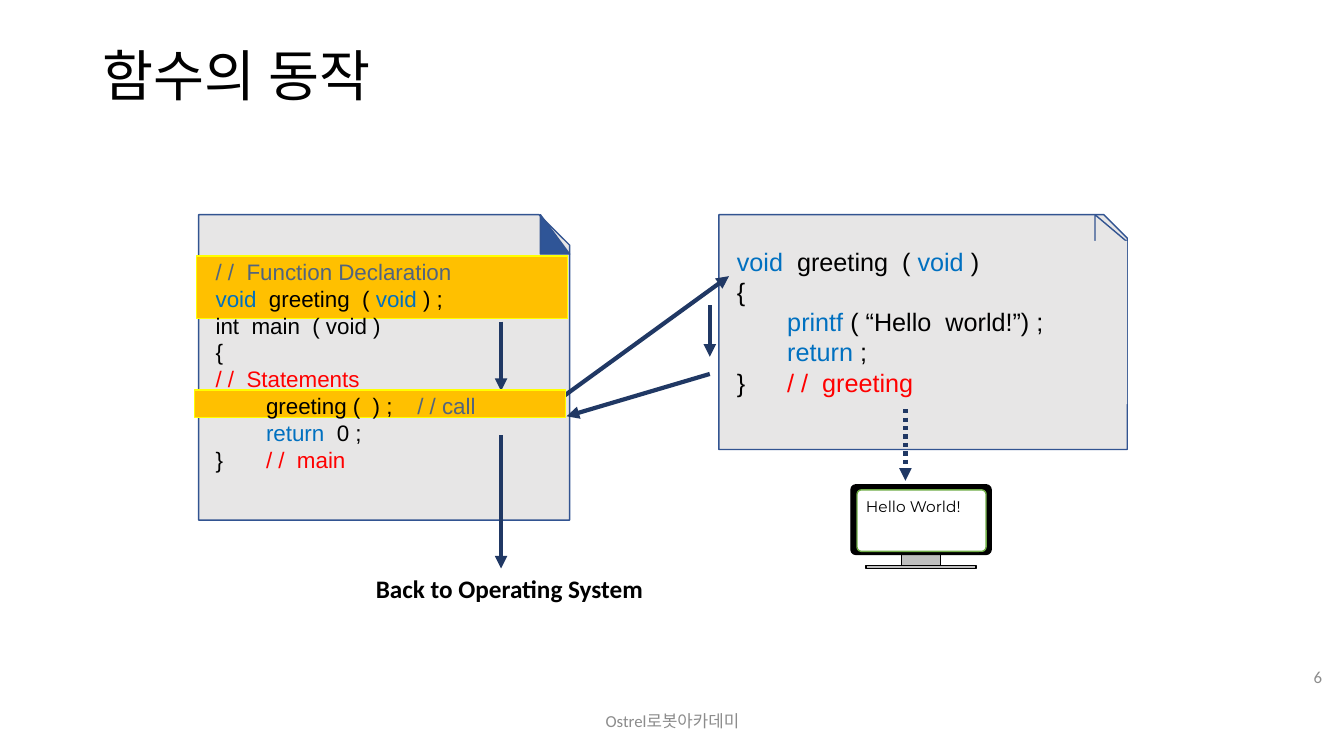
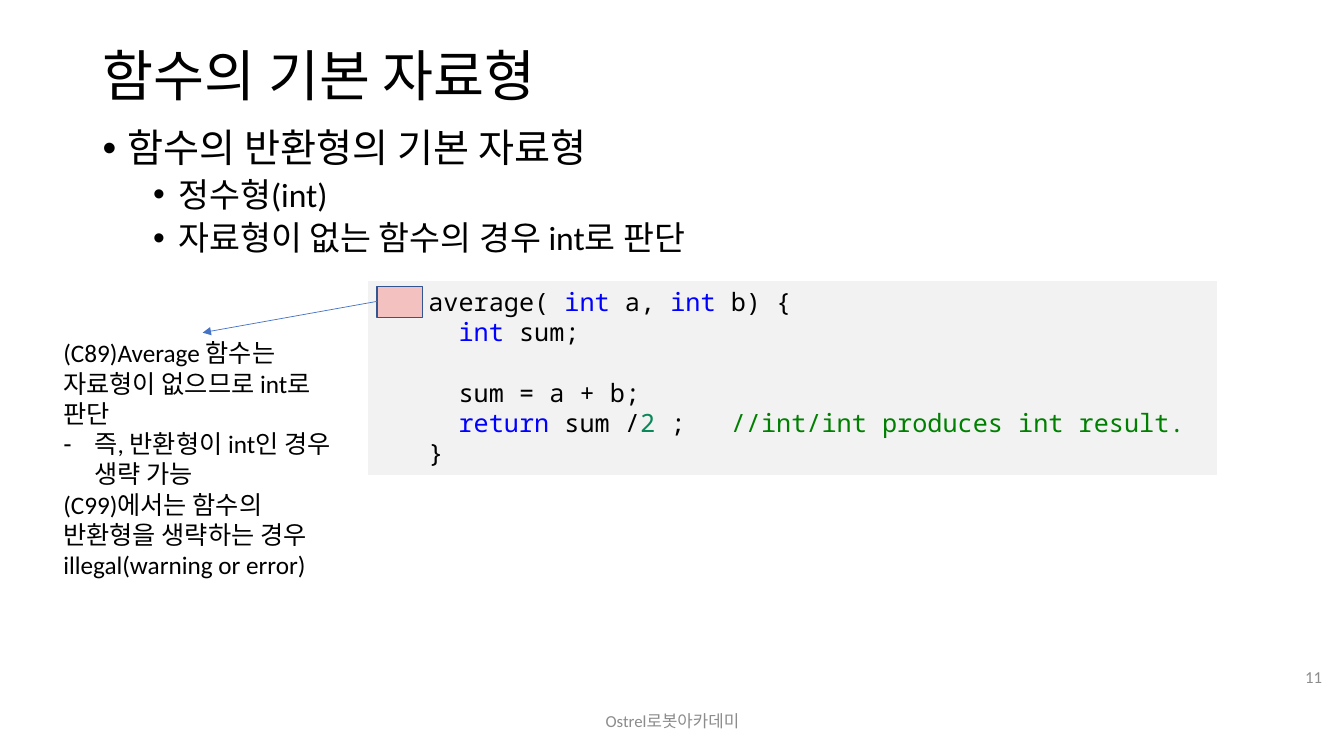
import pptx
import pptx.util
import pptx.dml.color
import pptx.enum.dml
import pptx.enum.shapes
import pptx.enum.text
import pptx.oxml.ns
import lxml.etree

Inches = pptx.util.Inches
Pt = pptx.util.Pt
RGB = pptx.dml.color.RGBColor.from_string
SHAPE = pptx.enum.shapes.MSO_SHAPE
ALIGN = pptx.enum.text.PP_ALIGN
MIDDLE = pptx.enum.text.MSO_ANCHOR.MIDDLE
DOTS = pptx.enum.dml.MSO_LINE.ROUND_DOT
qn = pptx.oxml.ns.qn

COLORS = {
    "black": "000000", "white": "FFFFFF", "footer": "8C8C8C",
    "card": "E7E6E6", "outline": "325491", "fold": "2F5597", "arrow": "203864",
    "highlight": "FFC000", "glow": "FFFF00", "stand": "BFBFBF", "screen": "70AD47",
    "word": "0070C0", "note": "51647E", "red": "FF0000",
    "code": "F2F2F2", "keyword": "0000FF", "number": "09885A", "comment": "008000",
    "callout": "4472C4",
}


def box(s, kind, at, fill=None, line=None, adj=None):
    if kind is None:
        return s.shapes.add_textbox(*map(Inches, at))
    sp = s.shapes.add_shape(kind, *map(Inches, at))
    sp.shadow.inherit = False
    sp.fill.solid()
    sp.fill.fore_color.rgb = RGB(COLORS[fill])
    if line:
        sp.line.color.rgb = RGB(COLORS[line])
        sp.line.width = Pt(1)
    else:
        sp.line.fill.background()
    if adj:
        sp.adjustments[0] = adj
    return sp


def write(sp, paras, size, font="Calibri", anchor=pptx.enum.text.MSO_ANCHOR.TOP, bold=False, tabs=()):
    tf = sp.text_frame
    tf.word_wrap = True
    tf.vertical_anchor = anchor
    for i, (runs, fmt) in enumerate(paras):
        p = tf.paragraphs[0] if i == 0 else tf.add_paragraph()
        fmt = {"alignment": ALIGN.LEFT, **fmt}
        margin, indent = fmt.pop("indent", (0, 0))
        bullet = fmt.pop("bullet", None)
        para_size = fmt.pop("size", size)
        for name, value in fmt.items():
            setattr(p, name, value)
        pPr = p._p.get_or_add_pPr()
        pPr.set("marL", str(Inches(margin)))
        pPr.set("indent", str(Inches(indent)))
        if bullet:
            lxml.etree.SubElement(pPr, qn("a:buFont")).set("typeface", "Arial")
            lxml.etree.SubElement(pPr, qn("a:buChar")).set("char", bullet)
        if tabs:
            tab_list = lxml.etree.SubElement(pPr, qn("a:tabLst"))
            for pos in tabs:
                tab = lxml.etree.SubElement(tab_list, qn("a:tab"))
                tab.set("pos", str(Inches(pos)))
                tab.set("algn", "l")
        for text, color in runs:
            r = p.add_run()
            r.text = text
            for name, value in {"size": Pt(para_size), "name": font, "bold": bold}.items():
                setattr(r.font, name, value)
            r.font.color.rgb = RGB(COLORS[color])


prs = pptx.Presentation()
prs.slide_width = Inches(13.33)
prs.slide_height = Inches(7.5)

slides = []
for title, number in [("함수의 동작", "6"), ("함수의 기본 자료형", "11")]:
    s = prs.slides.add_slide(prs.slide_layouts[6])
    slides.append(s)
    for at, text, size, color, fmt in [
        ((0.92, 0.4, 11.5, 0.75), title, 39.6, "black", {"line_spacing": 0.9}),
        ((4.42, 6.95, 4.5, 0.4), "Ostrel로봇아카데미", 12, "footer", {"alignment": ALIGN.CENTER}),
        ((12.59, 6.51, 0.62, 0.4), number, 12, "footer", {"alignment": ALIGN.RIGHT}),
    ]:
        write(box(s, None, at), [([(text, color)], fmt)], size, anchor=MIDDLE)
flow, types = slides

box(flow, SHAPE.SNIP_1_RECTANGLE, (1.97, 2.13, 3.68, 3.03), "card", "outline", 0.1)
box(flow, SHAPE.SNIP_1_RECTANGLE, (7.13, 2.13, 4.05, 2.33), "card", "outline", 0.1)
box(flow, SHAPE.RIGHT_TRIANGLE, (10.86, 2.13, 0.32, 0.27), "card", "outline")
greeting = box(flow, SHAPE.RECTANGLE, (7.21, 2.39, 3.97, 1.62), "card")
write(greeting, [
    ([("void  ", "word"), ("greeting  ( ", "black"), ("void", "word"), (" )", "black")], {}),
    ([("{", "black")], {}),
    ([("\tprintf", "word"), (" ( “Hello  world!”) ;", "black")], {}),
    ([("\treturn", "word"), (" ;", "black")], {}),
    ([("}", "black"), ("\t/ /  greeting", "red")], {}),
], 18, "Arial", tabs=[0.28])
write(box(flow, None, (3.63, 5.64, 3.07, 0.4)),
      [([("Back to Operating System", "black")], {})], 18, bold=True)

body = box(types, None, (0.92, 1.23, 11.5, 5.53))
sub = {"indent": (0.75, -0.25), "bullet": "•", "line_spacing": 0.9, "space_before": Pt(5), "size": 24}
write(body, [
    ([("함수의 반환형의 기본 자료형", "black")],
     {"indent": (0.25, -0.25), "bullet": "•", "line_spacing": 0.9, "space_before": Pt(10)}),
    ([("정수형(int)", "black")], sub),
    ([("자료형이 없는 함수의 경우 int로 판단", "black")], sub),
], 28)

outer = {"indent": (0.5, 0)}
inner = {"indent": (0.8, 0)}
average = box(types, SHAPE.RECTANGLE, (3.65, 2.79, 8.42, 1.92), "code")
write(average, [
    ([("average( ", "black"), ("int", "keyword"), (" a, ", "black"),
      ("int", "keyword"), (" b) {", "black")], outer),
    ([("int", "keyword"), (" sum;", "black")], inner),
    ([("sum = a + b;", "black")], {**inner, "space_before": Pt(21.6)}),
    ([("return", "keyword"), (" sum /", "black"), ("2", "number"), (" ;   ", "black"),
      ("//int/int produces int result.", "comment")], inner),
    ([("}", "black")], outer),
], 18, "Noto Sans Mono")

write(box(types, None, (0.53, 3.3, 2.94, 2.52)), [
    ([("(C89)Average 함수는 자료형이 없으므로 int로 판단", "black")], {}),
    ([("즉, 반환형이 int인 경우 생략 가능", "black")], {"indent": (0.31, -0.31), "bullet": "-"}),
    ([("(C99)에서는 함수의 반환형을 생략하는 경우 illegal(warning or error)", "black")], {}),
], 18)

missing_type = box(types, SHAPE.RECTANGLE, (3.74, 2.84, 0.45, 0.31), "red", "outline")
red = missing_type.fill._xPr.find(qn("a:solidFill")).find(qn("a:srgbClr"))
lxml.etree.SubElement(red, qn("a:alpha")).set("val", "20000")

for s, ends, color, width, dash in [
    (flow, (4.97, 3.19, 4.97, 3.88), "arrow", 3, None),
    (flow, (4.97, 4.32, 4.97, 5.64), "arrow", 3, None),
    (flow, (5.44, 4.04, 7.23, 2.74), "arrow", 3, None),
    (flow, (7.04, 3.71, 5.62, 4.13), "arrow", 3, None),
    (flow, (7.04, 3.03, 7.04, 3.54), "arrow", 3, None),
    (flow, (8.98, 4.06, 8.98, 4.77), "arrow", 3, DOTS),
    (types, (3.74, 2.99, 2.01, 3.3), "callout", 0.5, None),
]:
    arrow = s.shapes.add_connector(pptx.enum.shapes.MSO_CONNECTOR.STRAIGHT, *map(Inches, ends))
    arrow.line.color.rgb = RGB(COLORS[color])
    arrow.line.width = Pt(width)
    if dash:
        arrow.line.dash_style = dash
    lxml.etree.SubElement(arrow.line._get_or_add_ln(), qn("a:tailEnd")).set("type", "triangle")
    lxml.etree.SubElement(arrow._element.spPr, qn("a:effectLst"))

for kind, at, fill, line, adj in [
    (SHAPE.RECTANGLE, (8.94, 5.47, 0.39, 0.15), "stand", "black", None),
    (SHAPE.ROUNDED_RECTANGLE, (8.44, 4.81, 1.39, 0.69), "black", "black", 0.07),
    (SHAPE.ROUNDED_RECTANGLE, (8.5, 4.86, 1.28, 0.61), "white", "screen", 0.07),
    (SHAPE.RECTANGLE, (8.59, 5.61, 1.09, 0.03), "stand", "black", None),
    (SHAPE.RECTANGLE, (1.95, 2.54, 3.68, 0.62), "highlight", "glow", None),
    (SHAPE.RIGHT_TRIANGLE, (5.36, 2.13, 0.29, 0.39), "fold", "outline", None),
    (SHAPE.RECTANGLE, (1.93, 3.87, 3.68, 0.27), "highlight", "glow", None),
]:
    box(flow, kind, at, fill, line, adj)

write(box(flow, None, (8.49, 4.88, 1.28, 0.29)),
      [([("Hello World!", "black")], {})], 11, "Montserrat")
write(box(flow, None, (2.04, 2.51, 3.61, 2.52)), [
    ([("/ /  Function Declaration", "note")], {}),
    ([("void", "word"), ("  greeting  ( ", "black"), ("void", "word"), (" ) ;", "black")], {}),
    ([("int  main  ( void )", "black")], {}),
    ([("{", "black")], {}),
    ([("/ /  Statements", "red")], {}),
    ([("\tgreeting (  ) ;", "black"), ("\t/ / call", "note")], {}),
    ([("\treturn", "word"), ("  0 ;", "black")], {}),
    ([("}", "black"), ("\t/ /  main", "red")], {}),
], 16, "Arial", tabs=[0.31, 2])

prs.save("out.pptx")
